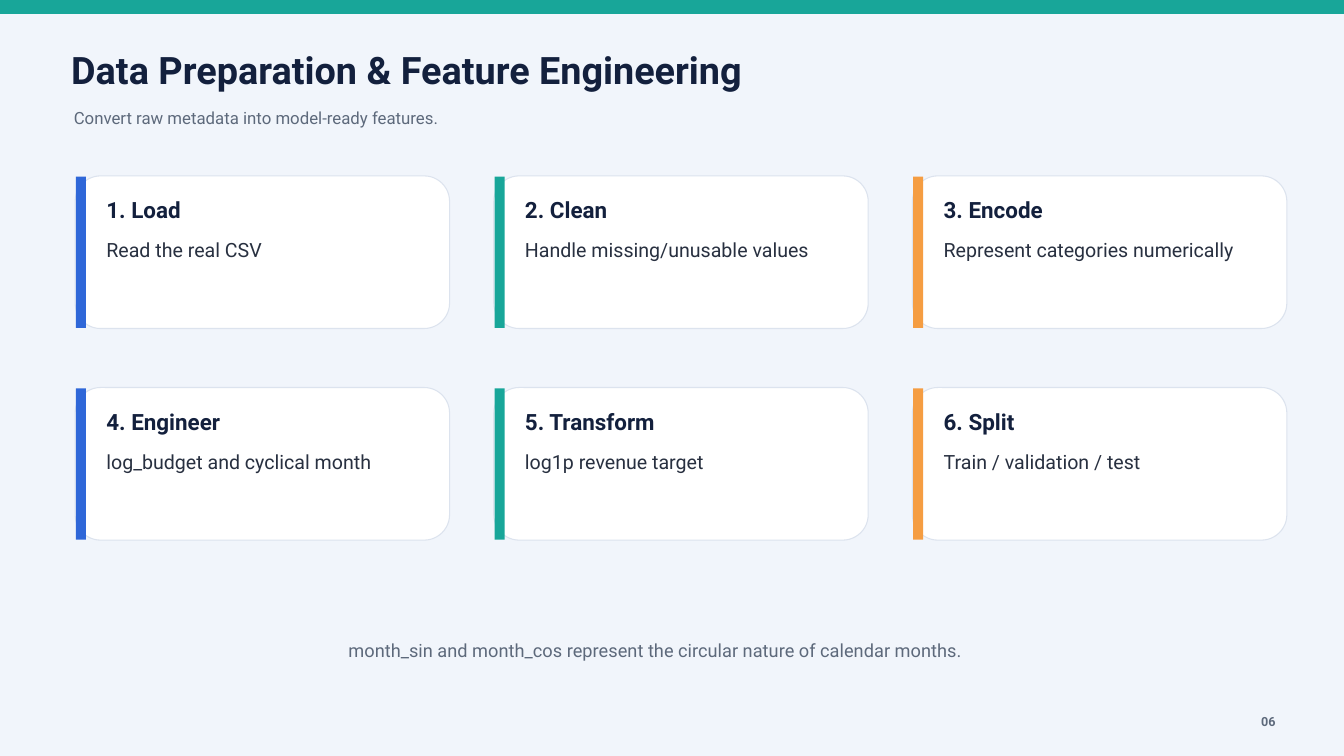
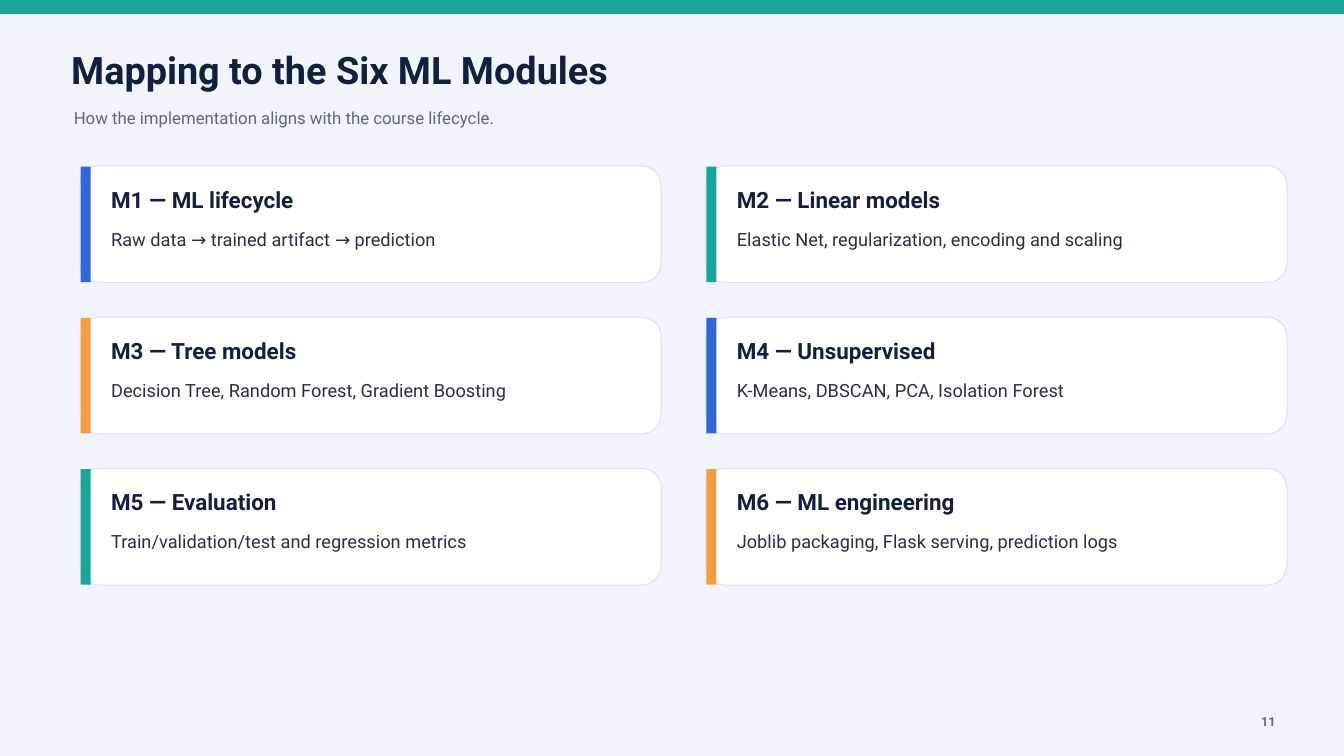
from pptx import Presentation
from pptx.dml.color import RGBColor
from pptx.enum.shapes import MSO_SHAPE as Preset
from pptx.enum.text import PP_ALIGN as Align
from pptx.util import Cm, Pt

# Shared look
BACKGROUND, CARD_FILL, CARD_EDGE = "F1F5FB", "FFFFFF", "DCE3EE"
NAVY, INK, GREY = "13203D", "283040", "5D697B"
BLUE, TEAL, ORANGE = "2F67D8", "18A699", "F59D42"
ACCENTS = (BLUE, TEAL, ORANGE)
LEADING = 1.2

TITLE = {"size": 40.5, "bold": True, "color": NAVY}
SUBTITLE = {"size": 18, "color": GREY}
PAGE_NUMBER = {"size": 13.5, "bold": True, "color": GREY}
HEADING = {"size": 24, "bold": True, "color": NAVY}
DETAIL = {"size": 21, "color": INK}
SMALL_DETAIL = {"size": 19.5, "color": INK}
FOOTNOTE = {"size": 19.5, "color": GREY}

NO_MARGINS = {"margin_left": 0, "margin_top": 0, "margin_right": 0,
              "margin_bottom": 0, "word_wrap": True}


def rgb(hex_color):
    return RGBColor.from_string(hex_color)


def cm_box(box):
    return [Cm(length) for length in box]


def set_values(target, values):
    for name, value in values.items():
        setattr(target, name, value)


def add_text(slide, box, text, style, align=Align.LEFT):
    frame = slide.shapes.add_textbox(*cm_box(box)).text_frame
    set_values(frame, NO_MARGINS)
    line = frame.paragraphs[0]
    set_values(line, {"alignment": align,
                      "line_spacing": Pt(style["size"] * LEADING)})
    run = line.add_run()
    run.text = text
    set_values(run.font, {"name": "Roboto", "size": Pt(style["size"]),
                          "bold": style.get("bold", False)})
    run.font.color.rgb = rgb(style["color"])


def add_block(slide, preset, box, fill, edge=None):
    block = slide.shapes.add_shape(preset, *cm_box(box))
    block.shadow.inherit = False
    block.fill.solid()
    block.fill.fore_color.rgb = rgb(fill)
    if edge:
        block.line.color.rgb = rgb(edge)
        block.line.width = Pt(1.13)
    else:
        block.line.fill.background()


def add_card(slide, box, accent, heading, detail, detail_style):
    left, top, width, height = box
    add_block(slide, Preset.ROUNDED_RECTANGLE, box, CARD_FILL, CARD_EDGE)
    # Accent bar on the left edge
    add_block(slide, Preset.RECTANGLE,
              (left + 0.03, top + 0.03, 0.38, height - 0.05), accent)
    # Card wording
    add_text(slide, (left + 1.18, top + 0.76, width - 1.98, 1.14),
             heading, HEADING)
    add_text(slide, (left + 1.18, top + 2.35, width - 2.06, height - 2.82),
             detail, detail_style)


def add_card_grid(slide, box, columns, gaps, cards, detail_style):
    left, top, width, height = box
    column_gap, row_gap = gaps
    rows = len(cards) // columns
    card_width = (width - column_gap * (columns - 1)) / columns
    card_height = (height - row_gap * (rows - 1)) / rows
    for index, (heading, detail) in enumerate(cards):
        row, column = divmod(index, columns)
        card_box = (left + column * (card_width + column_gap),
                    top + row * (card_height + row_gap),
                    card_width, card_height)
        add_card(slide, card_box, ACCENTS[index % len(ACCENTS)],
                 heading, detail, detail_style)


def add_framed_slide(deck, title, subtitle, page):
    slide = deck.slides.add_slide(deck.slide_layouts[6])
    slide.background.fill.solid()
    slide.background.fill.fore_color.rgb = rgb(BACKGROUND)
    # Top band, titles and page number
    add_block(slide, Preset.RECTANGLE, (0, 0, 50.85, 0.53), TEAL)
    add_text(slide, (2.69, 1.75, 45.34, 1.98), title, TITLE)
    add_text(slide, (2.79, 4.06, 44.58, 1.32), subtitle, SUBTITLE)
    add_text(slide, (46.71, 26.97, 1.5, 0.58), page, PAGE_NUMBER, Align.RIGHT)
    return slide


def add_preparation_slide(deck):
    slide = add_framed_slide(deck, "Data Preparation & Feature Engineering",
                             "Convert raw metadata into model-ready features.",
                             "06")
    steps = [
        ("1. Load", "Read the real CSV"),
        ("2. Clean", "Handle missing/unusable values"),
        ("3. Encode", "Represent categories numerically"),
        ("4. Engineer", "log_budget and cyclical month"),
        ("5. Transform", "log1p revenue target"),
        ("6. Split", "Train / validation / test"),
    ]
    add_card_grid(slide, (2.84, 6.65, 45.8, 13.77), 3, (1.67, 2.23),
                  steps, DETAIL)
    add_text(slide, (4.01, 24.16, 41.53, 1.14),
             "month_sin and month_cos represent the circular nature of "
             "calendar months.", FOOTNOTE, Align.CENTER)


def add_modules_slide(deck):
    slide = add_framed_slide(
        deck, "Mapping to the Six ML Modules",
        "How the implementation aligns with the course lifecycle.", "11")
    modules = [
        ("M1 — ML lifecycle", "Raw data → trained artifact → prediction"),
        ("M2 — Linear models",
         "Elastic Net, regularization, encoding and scaling"),
        ("M3 — Tree models", "Decision Tree, Random Forest, Gradient Boosting"),
        ("M4 — Unsupervised", "K-Means, DBSCAN, PCA, Isolation Forest"),
        ("M5 — Evaluation", "Train/validation/test and regression metrics"),
        ("M6 — ML engineering",
         "Joblib packaging, Flask serving, prediction logs"),
    ]
    add_card_grid(slide, (3.02, 6.27, 45.62, 15.85), 2, (1.68, 1.3),
                  modules, SMALL_DETAIL)


def main():
    deck = Presentation()
    set_values(deck, {"slide_width": Cm(50.8), "slide_height": Cm(28.58)})
    add_preparation_slide(deck)
    add_modules_slide(deck)
    deck.save("out.pptx")


if __name__ == "__main__":
    main()
